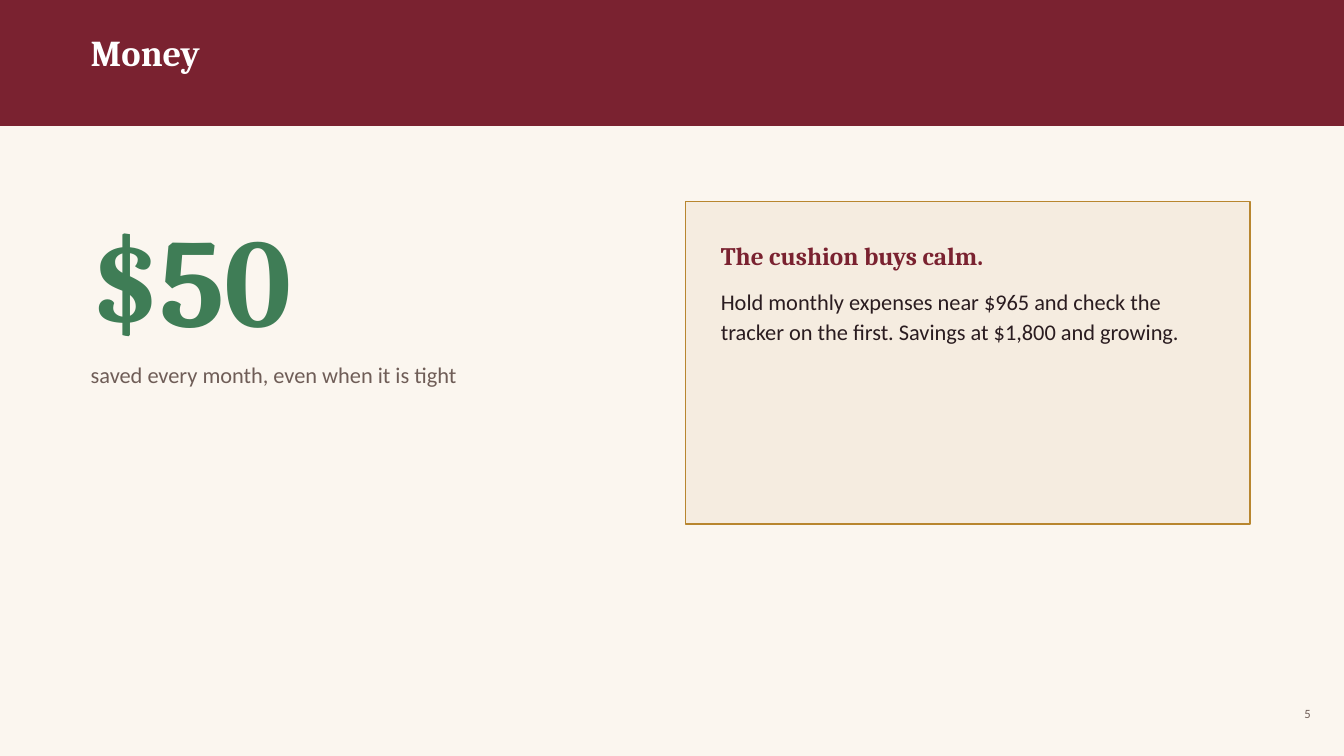
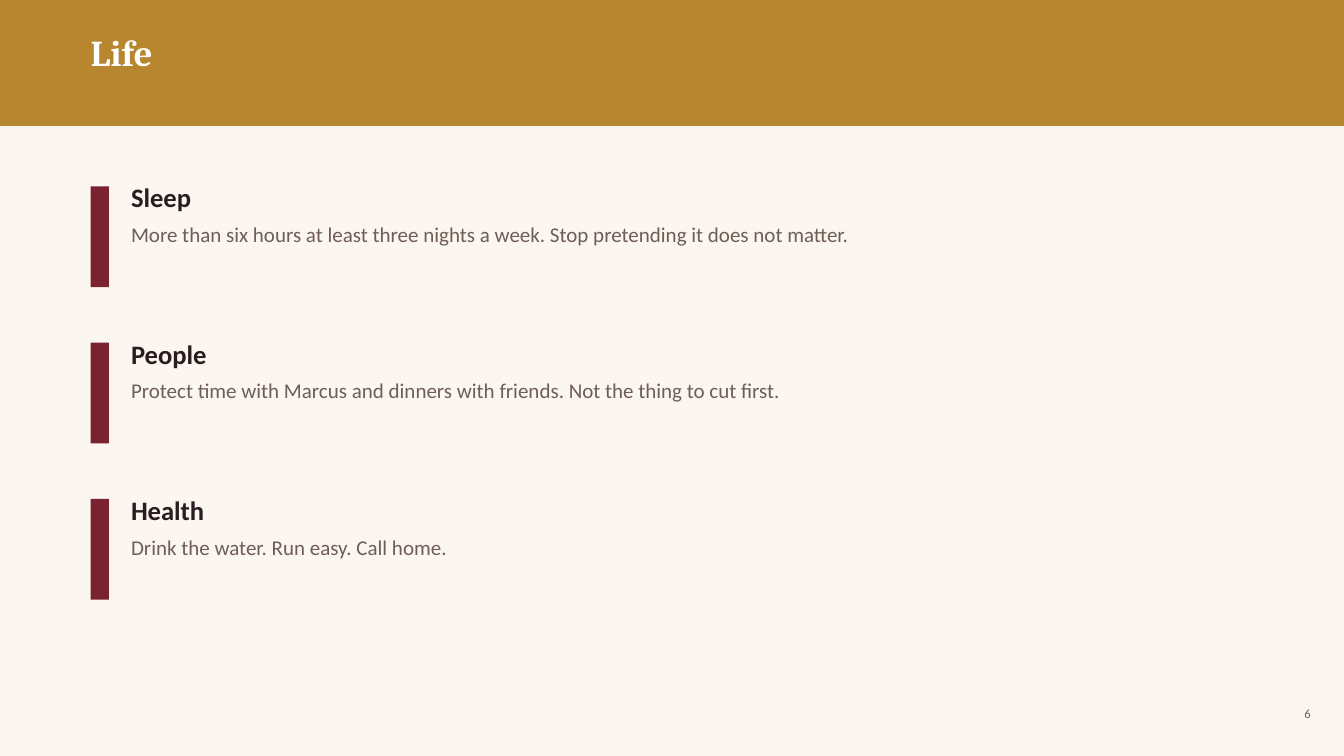
import pptx
import pptx.dml.color
import pptx.enum.shapes
import pptx.enum.text
import pptx.util

WIDTH, HEIGHT = 13.33, 7.5
MARGIN, COLUMN, GUTTER = 0.9, 5.6, 0.3
CONTENT_WIDTH = 2 * COLUMN + GUTTER
RIGHT_COLUMN = MARGIN + COLUMN + GUTTER
BODY_TOP = 2
BAND_HEIGHT = HEIGHT / 6

PAPER, CARD, WHITE = "FBF6EF", "F5ECE0", "FFFFFF"
WINE, GOLD, GREEN = "7A2230", "B8862F", "3F7D56"
INK, MUTED = "2A1C20", "6F5D57"
SERIF, SANS = "Cambria", "Calibri"

HABITS = [
    ("Sleep", "More than six hours at least three nights a week. Stop pretending it does not matter."),
    ("People", "Protect time with Marcus and dinners with friends. Not the thing to cut first."),
    ("Health", "Drink the water. Run easy. Call home."),
]


def color(value):
    return pptx.dml.color.RGBColor.from_string(value)


def paint(fill, value):
    fill.solid()
    fill.fore_color.rgb = color(value)


def inches(*lengths):
    return [pptx.util.Inches(length) for length in lengths]


def add_panel(slide, left, top, width, height, fill, border=None):
    panel = slide.shapes.add_shape(
        pptx.enum.shapes.MSO_SHAPE.RECTANGLE, *inches(left, top, width, height))
    panel.shadow.inherit = False
    paint(panel.fill, fill)
    if border:
        panel.line.color.rgb = color(border)
        panel.line.width = pptx.util.Pt(1.2)
    else:
        panel.line.fill.background()


def add_text(slide, left, top, width, height, lines, align=None, after=6, spacing=None):
    frame = slide.shapes.add_textbox(*inches(left, top, width, height)).text_frame
    frame.word_wrap = True
    frame.auto_size = pptx.enum.text.MSO_AUTO_SIZE.SHAPE_TO_FIT_TEXT
    frame.margin_left = frame.margin_top = frame.margin_right = frame.margin_bottom = 0
    for index, (words, size, face, shade, bold) in enumerate(lines):
        paragraph = frame.add_paragraph() if index else frame.paragraphs[0]
        paragraph.alignment = align
        paragraph.space_after = pptx.util.Pt(after)
        paragraph.line_spacing = spacing
        run = paragraph.add_run()
        run.text = words
        run.font.size = pptx.util.Pt(size)
        run.font.name = face
        run.font.color.rgb = color(shade)
        run.font.bold = bold


def add_page(deck, title, band, number):
    slide = deck.slides.add_slide(deck.slide_layouts[6])
    paint(slide.background.fill, PAPER)
    add_panel(slide, 0, 0, WIDTH, BAND_HEIGHT, band)
    add_text(slide, MARGIN, 0.3, CONTENT_WIDTH, 0.8, [(title, 26, SERIF, WHITE, True)])
    add_text(slide, MARGIN + CONTENT_WIDTH, 7, 0.6, 0.4,
             [(str(number), 9, SANS, MUTED, False)], align=pptx.enum.text.PP_ALIGN.RIGHT)
    return slide


def add_card(slide, left, top, width, height, heading, body, padding=0.35):
    add_panel(slide, left, top, width, height, CARD, GOLD)
    add_text(slide, left + padding, top + padding, width - 2 * padding, height - 2 * padding,
             [(heading, 18, SERIF, WINE, True), (body, 16, SANS, INK, False)],
             after=10, spacing=1.12)


def add_habit(slide, top, heading, body):
    add_panel(slide, MARGIN, top + 0.05, 0.18, 1, WINE)
    add_text(slide, MARGIN + 0.4, top, 11, 1.2,
             [(heading, 19, SANS, INK, True), (body, 15, SANS, MUTED, False)])


def main():
    deck = pptx.Presentation()
    deck.slide_width, deck.slide_height = inches(WIDTH, HEIGHT)

    money = add_page(deck, "Money", WINE, 5)
    add_text(money, MARGIN, BODY_TOP, COLUMN, 3,
             [("$50", 90, SERIF, GREEN, True),
              ("saved every month, even when it is tight", 16, SANS, MUTED, False)])
    add_card(money, RIGHT_COLUMN, BODY_TOP, COLUMN, 3.2, "The cushion buys calm.",
             "Hold monthly expenses near $965 and check the tracker on the first. "
             "Savings at $1,800 and growing.")

    life = add_page(deck, "Life", GOLD, 6)
    for row, (heading, body) in enumerate(HABITS):
        add_habit(life, 1.8 + 1.55 * row, heading, body)

    deck.save("out.pptx")


if __name__ == "__main__":
    main()
